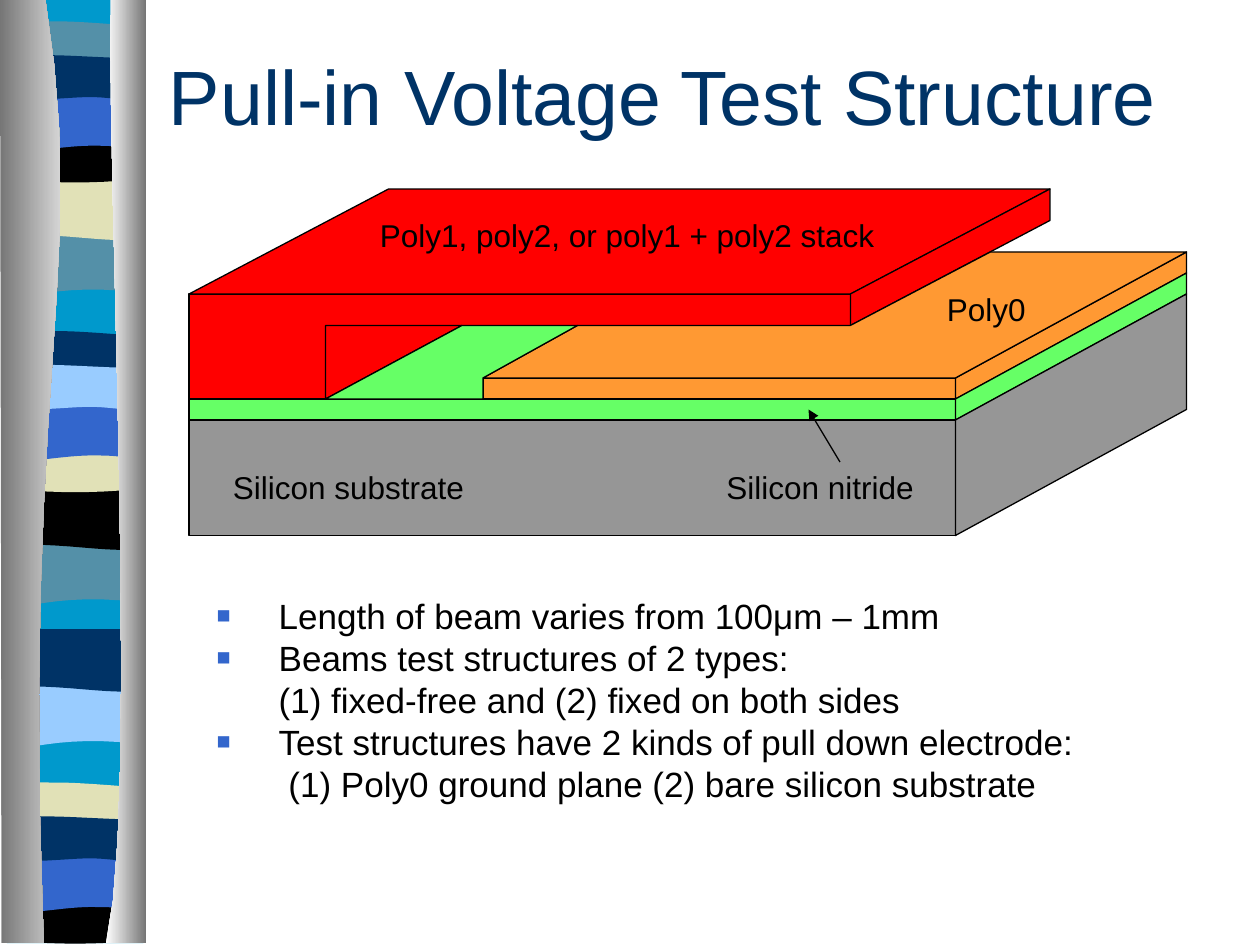
from lxml import etree
from pptx import Presentation
from pptx.dml.color import RGBColor
from pptx.enum.shapes import MSO_CONNECTOR as Conn, MSO_SHAPE as Geo
from pptx.enum.text import MSO_ANCHOR as Anchor
from pptx.oxml.ns import qn
from pptx.util import Pt

NAVY, BLUE, SKY, TEAL = "003366", "3366CC", "99CCFF", "5490A8"
SAND, BLACK, CYAN = "E1E1B7", "000000", "0099CC"
RED, GREEN, GRAY, AMBER = "FF0000", "66FF66", "969696", "FF9933"

# Band outlines in points: a pair is a corner, a triple of pairs is a curve.
BANDS = {
    "dip": [(78, 0), (78, 34), ((24, 28), (13, 40), (0, 34)), (0, 0)],
    "swell": [(78, 0), (78, 34), ((65, 39.5), (24, 29.5), (0, 34)), (0, 0)],
    "thin": [(78, 3.6), (78, 21), ((65, 24), (13, 24), (0, 21)), (0, 3.6),
             ((4.5, 0), (16.5, 0.7), (29.5, 0.7)),
             ((42.5, 0.7), (68, 3), (78, 3.6))],
    "bowl": [(78, 0), (78, 23.4), ((65, 27.5), (13, 27.5), (0, 23.4)), (0, 0),
             ((47.5, 3.6), (61, 0), (78, 0))],
    "arch": [(78, 0), (78, 34), ((65.5, 30), (60.5, 30), (47.5, 30)),
             ((34.5, 30), (11.5, 34), (0, 34)), (0, 0)],
    "wave": [(78, 3.6), (78, 26), ((73, 29.5), (60.5, 26), (47.5, 26)),
             ((34.5, 26), (8, 29.5), (0, 26)), (0, 3.6),
             ((11, 0), (52.5, 3.6), (65.5, 3.6)), (78, 3.6)],
}
# For each band: first top, shift of the third round, colours of the rounds.
ROUNDS = {
    "dip": (133.2, 258, (TEAL, TEAL, SKY)),
    "swell": (101.5, 258, (SAND, BLACK, NAVY)),
    "thin": (11.5, 435, (TEAL, NAVY, SAND)),
    "bowl": (77.8, 435, (BLACK, SAND, BLACK)),
    "arch": (53.3, 435, (BLUE, BLUE, BLUE)),
    "wave": (29.5, 435, (NAVY, SKY, NAVY)),
}


def rgb(code):
    return RGBColor.from_string(code)


def paint(shape, fill, line=None):
    shape.shadow.inherit = False
    if isinstance(fill, tuple):
        shape.fill.gradient()
        shape.fill.gradient_angle = 0
        for stop, code in zip(shape.fill.gradient_stops, fill):
            stop.color.rgb = rgb(code)
    else:
        shape.fill.solid()
        shape.fill.fore_color.rgb = rgb(fill)
    if line:
        shape.line.color.rgb = rgb(line)
        shape.line.width = Pt(0.75)
    else:
        shape.line.fill.background()


def trace(parts, steps=12):
    """Turn corners and Bezier curves into a list of points."""
    out = []
    for part in parts:
        if not isinstance(part[0], tuple):
            out.append(part)
            continue
        pts = [out[-1], *part]
        for i in range(1, steps + 1):
            t = i / steps
            u = 1 - t
            mix = (u ** 3, 3 * u * u * t, 3 * u * t * t, t ** 3)
            out.append(tuple(sum(m * p[k] for m, p in zip(mix, pts))
                             for k in (0, 1)))
    return out


def poly(slide, x, y, parts, fill, line=None):
    pts = [(Pt(x + a), Pt(y + b)) for a, b in trace(parts)]
    form = slide.shapes.build_freeform(*pts[0], scale=1.0)
    form.add_line_segments(pts[1:], close=True)
    paint(form.convert_to_shape(), fill, line)


def rect(slide, x, y, w, h, fill, line=None):
    box = slide.shapes.add_shape(Geo.RECTANGLE, Pt(x), Pt(y), Pt(w), Pt(h))
    paint(box, fill, line)


def wire(slide, x1, y1, x2, y2, arrow=False):
    line = slide.shapes.add_connector(
        Conn.STRAIGHT, Pt(x1), Pt(y1), Pt(x2), Pt(y2))
    line.line.color.rgb = rgb(BLACK)
    line.line.width = Pt(0.75)
    if arrow:
        etree.SubElement(line.line._get_or_add_ln(), qn("a:tailEnd"),
                         type="triangle")
    etree.SubElement(line._element.spPr, qn("a:effectLst"))


def mark(para, bullet):
    """Indent a paragraph by half an inch, with or without a bullet."""
    props = para._p.get_or_add_pPr()
    props.set("marL", str(Pt(36 if bullet else 72)))
    props.set("indent", str(Pt(-36)))
    if not bullet:
        props.set("lvl", "1")
        etree.SubElement(props, qn("a:buNone"))
        return
    tint = etree.SubElement(props, qn("a:buClr"))
    etree.SubElement(tint, qn("a:srgbClr"), val=BLUE)
    etree.SubElement(props, qn("a:buSzPct"), val="130000")
    etree.SubElement(props, qn("a:buFont"), typeface="Arial")
    etree.SubElement(props, qn("a:buChar"), char="▪")


def write(slide, x, y, w, h, text, size=18, color=BLACK, anchor=Anchor.TOP,
          bullets=None):
    frame = slide.shapes.add_textbox(Pt(x), Pt(y), Pt(w), Pt(h)).text_frame
    frame.word_wrap = True
    frame.vertical_anchor = anchor
    for i, words in enumerate(text.split("\n")):
        para = frame.add_paragraph() if i else frame.paragraphs[0]
        if bullets:
            mark(para, bullets[i])
        run = para.add_run()
        run.text = words
        run.font.name = "Arial"
        run.font.size = Pt(size)
        run.font.color.rgb = rgb(color)


def ribbon(slide, x, y, h):
    """Striped ribbon between two shaded edges."""
    rect(slide, x + 4, y, 78, h, CYAN)
    for n in range(3):
        for name, (top, last, tints) in ROUNDS.items():
            shift = (0, 177, last)[n]
            poly(slide, x + 4, y + top + shift, BANDS[name], tints[n])
    poly(slide, x, y, [(26, 0), ((51, 156), (12, 213), (25, h)), (1, h),
                       (0, 0)], ("767676", "D5D5D5"))
    poly(slide, x, y, [(63.4, 0), ((60.5, 90), (80, 465), (60.5, h)),
                       (83.5, h), (83.5, 0)], ("FFFFFF", "767676"))


def layers(slide, x, y):
    """Oblique view of the beam, electrode, nitride and substrate."""
    def face(fill, *pts):
        poly(slide, x, y, pts, fill, BLACK)

    def slab(left, top, w, h, fill):
        rect(slide, x + left, y + top, w, h, fill, BLACK)

    def side(top, h, fill):
        face(fill, (438, top), (570, top - 72), (570, top - 72 + h),
             (438, top + h))

    face(RED, (0, 60), (378, 60), (378, 78), (78, 78), (78, 120), (0, 120))
    face(RED, (0, 60), (114, 0), (492, 0), (378, 60))
    slab(0, 120, 438, 18, GREEN)
    wire(slide, x + 78, y + 120, x + 156, y + 78)
    face(RED, (78, 120), (156, 78), (78, 78))
    face(RED, (378, 78), (378, 60), (492, 0), (492, 18))
    slab(0, 132, 438, 66, GRAY)
    slab(168, 108, 270, 12, AMBER)
    side(108, 12, AMBER)
    face(AMBER, (168, 108), (222, 78), (378, 78), (458, 36), (570, 36),
         (438, 108))
    side(120, 12, GREEN)
    side(132, 66, GRAY)
    face(GREEN, (78, 120), (156, 78), (222, 78), (168, 108), (168, 120))
    for left, top, w, text in (
            (102, 12, 306, "Poly1, poly2, or poly1 + poly2 stack"),
            (426, 54, 63, "Poly0"),
            (18, 156, 150, "Silicon substrate"),
            (300, 156, 125, "Silicon nitride")):
        write(slide, x + left, y + top, w, 29, text)
    wire(slide, x + 372, y + 156, x + 354, y + 126, arrow=True)


def notes(slide, x, y, w, h):
    text = ("Length of beam varies from 100μm – 1mm\n"
            "Beams test structures of 2 types:\n"
            "(1) fixed-free and (2) fixed on both sides\n"
            "Test structures have 2 kinds of pull down electrode:\n"
            " (1) Poly0 ground plane (2) bare silicon substrate")
    write(slide, x, y, w, h, text, size=20,
          bullets=(True, True, False, True, False))


def main():
    deck = Presentation()
    deck.slide_width, deck.slide_height = Pt(720), Pt(540)
    slide = deck.slides.add_slide(deck.slide_layouts[6])
    ribbon(slide, 0, 0, 539)
    write(slide, 89.5, 23, 612, 62, "Pull-in Voltage Test Structure", size=44,
          color=NAVY, anchor=Anchor.MIDDLE)
    layers(slide, 108, 108)
    notes(slide, 116.2, 336, 556, 127)
    deck.save("out.pptx")


if __name__ == "__main__":
    main()
